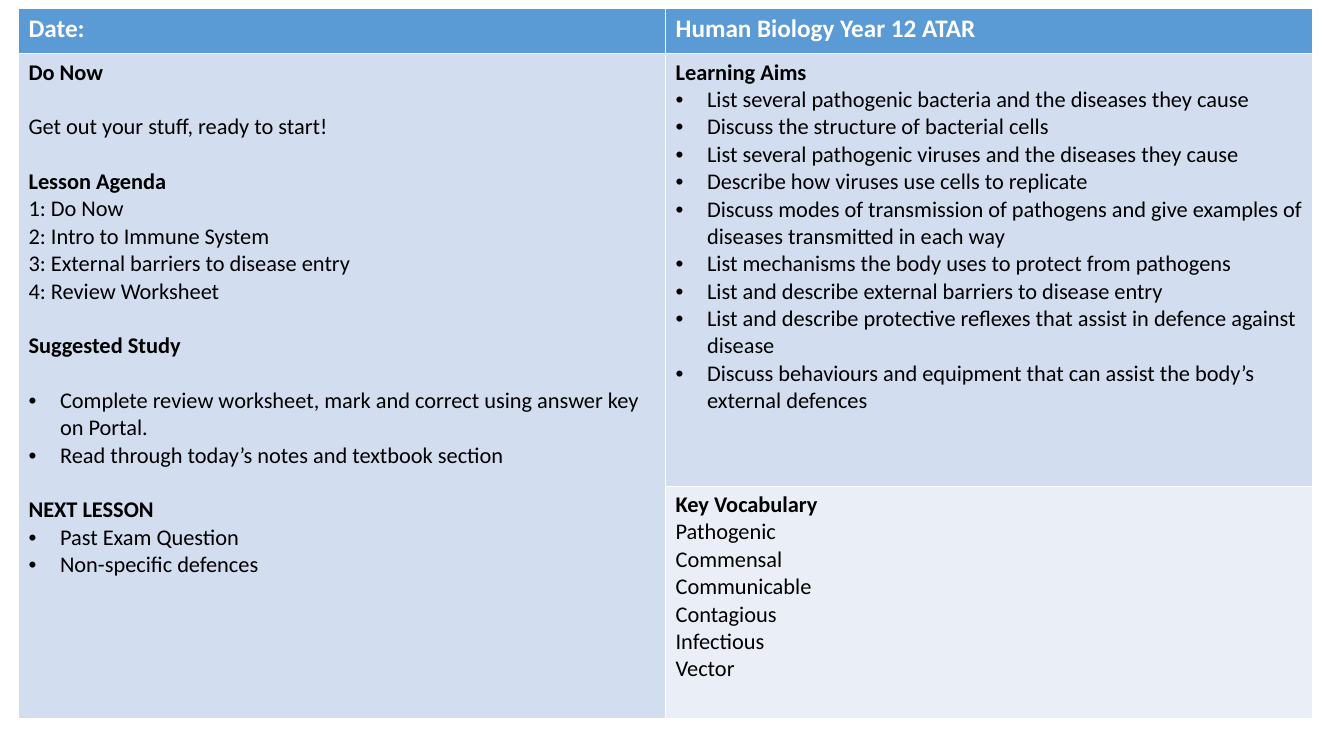
from dataclasses import dataclass

from lxml import etree
from pptx import Presentation
from pptx import util as u
from pptx.dml.color import RGBColor
from pptx.oxml import ns

WHITE = RGBColor(0xFF, 0xFF, 0xFF)
BLACK = RGBColor(0x00, 0x00, 0x00)
BLUE = RGBColor(0x5B, 0x9B, 0xD5)
PALE = RGBColor(0xD2, 0xDE, 0xEF)
LIGHT = RGBColor(0xEA, 0xEF, 0xF7)
FONT = "Calibri"
INDENT = u.Pt(22.5)
GAP = u.Pt(19.5)


@dataclass
class Line:
    words: str
    bold: bool = False
    dot: bool = False
    gap: bool = False


@dataclass
class Box:
    row: int
    col: int
    fill: RGBColor
    lines: list[Line]
    size: float = 16
    color: RGBColor = BLACK


def head(words: str, gap: bool = False) -> Line:
    return Line(words, bold=True, gap=gap)


def dots(*items: str) -> list[Line]:
    return [Line(item, dot=True) for item in items]


def plain(*items: str) -> list[Line]:
    return [Line(item) for item in items]


PLAN = [
    head("Do Now"),
    Line("Get out your stuff, ready to start!", gap=True),
    head("Lesson Agenda", gap=True),
    *plain(
        "1: Do Now",
        "2: Intro to Immune System",
        "3: External barriers to disease entry",
        "4: Review Worksheet",
    ),
    head("Suggested Study", gap=True),
    Line(
        "Complete review worksheet, mark and correct using answer key on Portal.",
        dot=True,
        gap=True,
    ),
    *dots("Read through today’s notes and textbook section"),
    head("NEXT LESSON", gap=True),
    *dots("Past Exam Question", "Non-specific defences"),
]
AIMS = [
    head("Learning Aims"),
    *dots(
        "List several pathogenic bacteria and the diseases they cause",
        "Discuss the structure of bacterial cells",
        "List several pathogenic viruses and the diseases they cause",
        "Describe how viruses use cells to replicate",
        "Discuss modes of transmission of pathogens and give examples of "
        "diseases transmitted in each way",
        "List mechanisms the body uses to protect from pathogens",
        "List and describe external barriers to disease entry",
        "List and describe protective reflexes that assist in defence against disease",
        "Discuss behaviours and equipment that can assist the body’s external defences",
    ),
]
VOCAB = [
    head("Key Vocabulary"),
    *plain("Pathogenic", "Commensal", "Communicable", "Contagious", "Infectious", "Vector"),
]
BOXES = [
    Box(0, 0, BLUE, [head("Date:")], 18, WHITE),
    Box(0, 1, BLUE, [head("Human Biology Year 12 ATAR")], 18, WHITE),
    Box(1, 0, PALE, PLAN),
    Box(1, 1, PALE, AIMS),
    Box(2, 1, LIGHT, VOCAB),
]


def add_dot(para) -> None:
    props = para._p.get_or_add_pPr()
    props.set("marL", str(INDENT))
    props.set("indent", str(-INDENT))
    etree.SubElement(props, ns.qn("a:buFont")).set("typeface", "Arial")
    etree.SubElement(props, ns.qn("a:buChar")).set("char", "•")


def fill_box(table, box: Box) -> None:
    cell = table.cell(box.row, box.col)
    cell.fill.solid()
    cell.fill.fore_color.rgb = box.fill
    frame = cell.text_frame
    for index, line in enumerate(box.lines):
        para = frame.add_paragraph() if index else frame.paragraphs[0]
        para.text = line.words
        if line.dot:
            add_dot(para)
        if line.gap:
            para.space_before = GAP
        font = para.font
        font.name = FONT
        font.size = u.Pt(box.size)
        font.bold = line.bold
        font.color.rgb = box.color


def main() -> None:
    deck = Presentation()
    deck.slide_width, deck.slide_height = u.Pt(960), u.Pt(540)
    slide = deck.slides.add_slide(deck.slide_layouts[6])
    table = slide.shapes.add_table(
        3, 2, u.Pt(13.2), u.Pt(6), u.Pt(924.4), u.Pt(507.6)
    ).table
    for row, height in zip(table.rows, (32.4, 308.9, 166.3)):
        row.height = u.Pt(height)
    table.cell(1, 0).merge(table.cell(2, 0))
    for box in BOXES:
        fill_box(table, box)
    deck.save("out.pptx")


if __name__ == "__main__":
    main()
